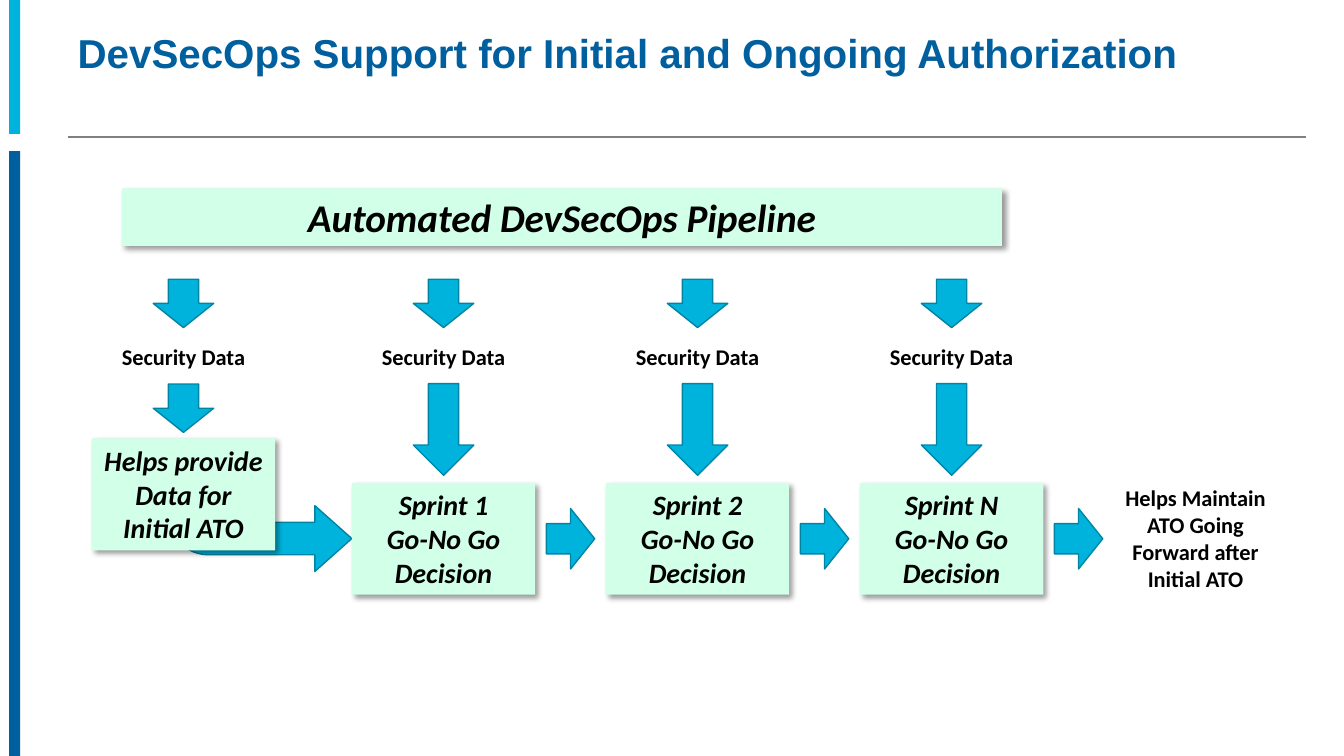
from dataclasses import dataclass

from lxml import etree
from pptx import Presentation
from pptx.dml.color import RGBColor
from pptx.enum.shapes import MSO_CONNECTOR, MSO_SHAPE
from pptx.enum.text import MSO_ANCHOR, MSO_AUTO_SIZE, PP_ALIGN
from pptx.oxml.ns import qn
from pptx.shapes.autoshape import Shape
from pptx.slide import Slide
from pptx.util import Inches, Pt

RECT, RIGHT, BENT = MSO_SHAPE.RECTANGLE, MSO_SHAPE.RIGHT_ARROW, MSO_SHAPE.BENT_ARROW
LINE = MSO_CONNECTOR.STRAIGHT
TOP, MIDDLE = MSO_ANCHOR.TOP, MSO_ANCHOR.MIDDLE
LEFT, CENTER = PP_ALIGN.LEFT, PP_ALIGN.CENTER
GROW, FIXED = MSO_AUTO_SIZE.SHAPE_TO_FIT_TEXT, MSO_AUTO_SIZE.NONE

COLORS = {
    "cyan": "00B3DC", "blue": "005F9E", "edge": "0084A3",
    "mint": "D1FFE8", "gray": "808080", "black": "000000",
}

# Grid: ten columns and ten rows to the inch
CELL = Inches(0.1)
WIDE, HIGH = 133.33, 75
BOX_W, BOX_H = 18.2, 11.1
START, FIRST, STEP = 18.2, 44, 25.2
SPRINTS = ["1", "2", "N"]
MIDS = [START] + [FIRST + STEP * n for n in range(len(SPRINTS))]
SPRINT_Y = 47.9
NEXT = STEP / 2


@dataclass
class Area:
    left: float
    top: float
    wide: float
    high: float

    def frame(self) -> list[int]:
        return [round(v * CELL) for v in (self.left, self.top, self.wide, self.high)]


@dataclass
class Style:
    size: float
    slant: bool = False
    color: str = "black"
    font: str = "Calibri"


HEAD = Style(28.8, color="blue", font="Arial")
BANNER, STAGE, LABEL = Style(28, True), Style(20, True), Style(16)


def rgb(name: str) -> RGBColor:
    return RGBColor.from_string(COLORS[name])


def write(shape: Shape, lines: list[str], style: Style, anchor, align, fit) -> None:
    frame = shape.text_frame
    frame.word_wrap = True
    frame.auto_size = fit
    frame.vertical_anchor = anchor
    for n, line in enumerate(lines):
        para = frame.add_paragraph() if n else frame.paragraphs[0]
        para.alignment = align
        run = para.add_run()
        run.text = line
        font = run.font
        font.name, font.size = style.font, Pt(style.size)
        font.bold, font.italic = True, style.slant
        font.color.rgb = rgb(style.color)


def draw(slide: Slide, kind, area: Area, fill: str, edge: str = "") -> Shape:
    shape = slide.shapes.add_shape(kind, *area.frame())
    shape.shadow.inherit = False
    shape.fill.solid()
    shape.fill.fore_color.rgb = rgb(fill)
    if edge:
        shape.line.color.rgb = rgb(edge)
        shape.line.width = Pt(1)
    else:
        shape.line.fill.background()
    return shape


def shade(shape: Shape) -> None:
    """Cast a soft shadow to the lower right."""
    effects = shape._element.spPr.find(qn("a:effectLst"))
    outer = etree.SubElement(
        effects, qn("a:outerShdw"), blurRad=str(Pt(4)), dist=str(Pt(3)),
        dir=str(45 * 60000), algn="tl", rotWithShape="0")
    tint = etree.SubElement(outer, qn("a:srgbClr"), val=COLORS["black"])
    etree.SubElement(tint, qn("a:alpha"), val="40000")


def card(slide: Slide, area: Area, lines: list[str], style: Style) -> None:
    shape = draw(slide, RECT, area, "mint")
    shade(shape)
    write(shape, lines, style, TOP, CENTER, GROW)


def label(slide: Slide, area: Area, text: str) -> None:
    write(slide.shapes.add_textbox(*area.frame()), [text], LABEL, MIDDLE, CENTER, GROW)


def arrow(slide: Slide, mid: float, row: float, span: float = 4.8, turn: int = 0) -> None:
    """Draw a block arrow about its centre."""
    area = Area(mid - span / 2, row - 3, span, 6)
    draw(slide, RIGHT, area, "cyan", "edge").rotation = turn


def rule(slide: Slide, left: float, right: float, row: float) -> None:
    ends = [round(v * CELL) for v in (left, row, right, row)]
    line = slide.shapes.add_connector(LINE, *ends)
    line.line.color.rgb = rgb("gray")
    line.line.width = Pt(1)
    etree.SubElement(line._element.spPr, qn("a:effectLst"))


def header(slide: Slide) -> None:
    draw(slide, RECT, Area(0.9, 0, 1.1, 13.3), "cyan")
    draw(slide, RECT, Area(0.9, 15, 1.1, 60), "blue")
    rule(slide, 6.7, 129.6, 13.6)
    title = slide.shapes.title
    title.left, title.top, title.width, title.height = Area(6.7, 2.5, 120, 6).frame()
    write(title, ["DevSecOps Support for Initial and Ongoing Authorization"],
          HEAD, MIDDLE, LEFT, FIXED)
    title.text_frame.paragraphs[0].line_spacing = 0.9


def feed(slide: Slide, mid: float, row: float, span: float) -> None:
    """Lead security data from the pipeline down to a stage."""
    arrow(slide, mid, 30.1, turn=90)
    label(slide, Area(mid - BOX_W / 2, 33.5, BOX_W, 3.7), "Security Data")
    arrow(slide, mid, row, span, 90)


def flow(slide: Slide) -> None:
    card(slide, Area(12.1, 18.7, 87.3, 5.7), ["Automated DevSecOps Pipeline"], BANNER)
    feed(slide, START, 40.5, 4.8)
    bend = draw(slide, BENT, Area(16.7, 47.6, BOX_W, 9.1), "cyan", "edge")
    for n, share in enumerate([0.354, 0.359, 0.403, 0.438]):
        bend.adjustments[n] = share
    bend._element.spPr.find(qn("a:xfrm")).set("flipV", "1")
    card(slide, Area(START - BOX_W / 2, 43.5, BOX_W, BOX_H),
         ["Helps provide Data for Initial ATO"], STAGE)
    for mid, name in zip(MIDS[1:], SPRINTS):
        feed(slide, mid, 42.6, 9.1)
        card(slide, Area(mid - BOX_W / 2, SPRINT_Y, BOX_W, BOX_H),
             [f"Sprint {name}", "Go-No Go", "Decision"], STAGE)
        arrow(slide, mid + NEXT, SPRINT_Y + BOX_H / 2)
    label(slide, Area(109.5, 47.5, BOX_W, 11.8),
          "Helps Maintain ATO Going Forward after Initial ATO")


def main() -> None:
    deck = Presentation()
    deck.slide_width, deck.slide_height = round(WIDE * CELL), HIGH * CELL
    slide = deck.slides.add_slide(deck.slide_layouts[5])
    header(slide)
    flow(slide)
    deck.save("out.pptx")


if __name__ == "__main__":
    main()
